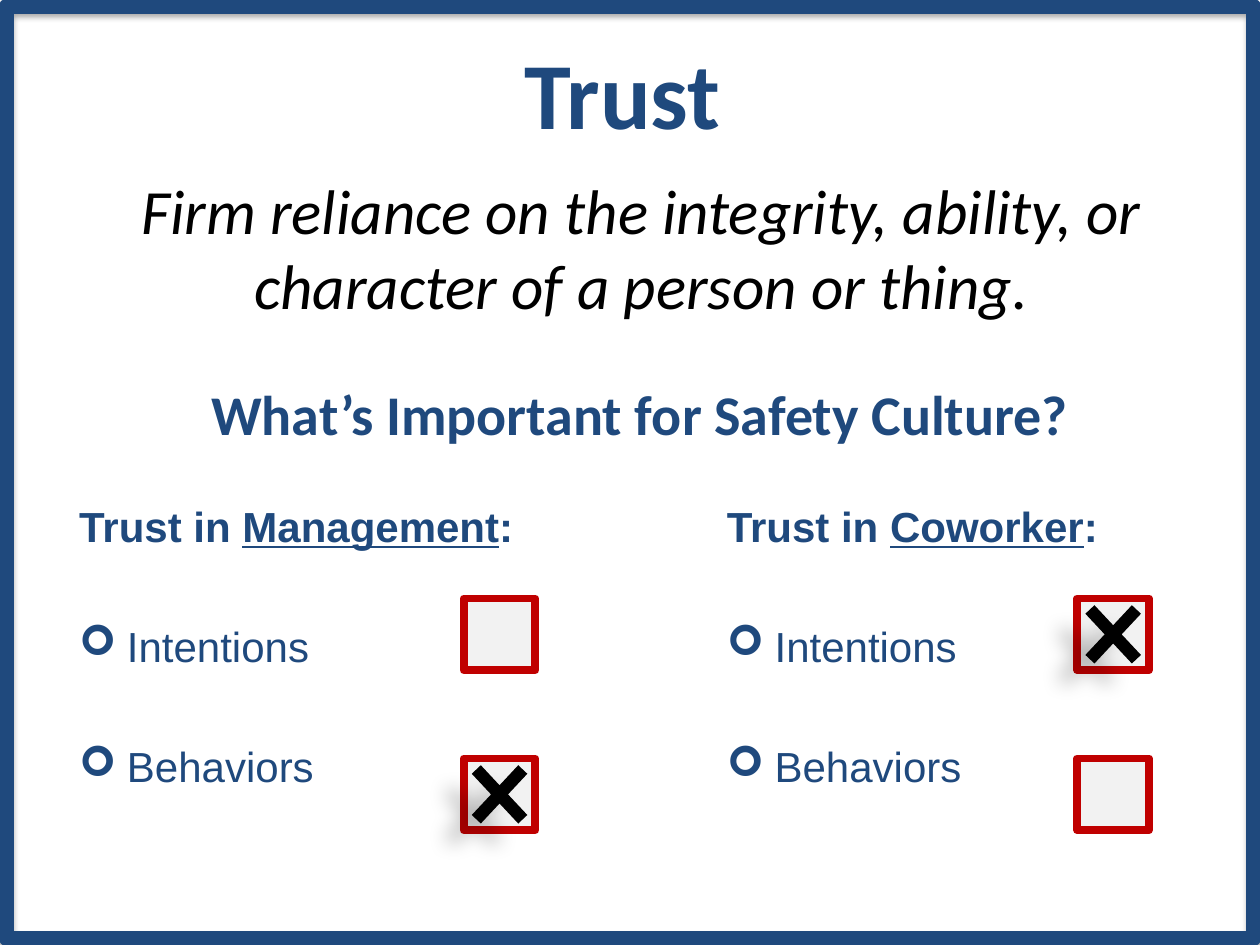
from lxml import etree
from pptx import Presentation
from pptx import util as u
from pptx.dml.color import RGBColor
from pptx.enum import shapes, text
from pptx.oxml.ns import qn

NAVY, RED, GREY, BLACK = "1F497D", "C00000", "F2F2F2", "000000"
CENTER = text.PP_ALIGN.CENTER
MIDDLE = text.MSO_ANCHOR.MIDDLE

# Checkbox grid: one column per kind of trust, one row per item
HEADINGS = [("Management", 0.53, 5.44), ("Coworker", 5.67, 4.33)]
ITEMS = ["Intentions", "Behaviors"]
BOX_X, BOX_Y, BOX = [3.68, 8.55], [4.75, 6.02], 0.57
CHECKED = [(0, 1), (1, 0)]
MARK_W, MARK_H = 0.71, 0.76


def color(value):
    return RGBColor.from_string(value)


def place(sp, x, y, w, h):
    sp.left, sp.top, sp.width, sp.height = map(u.Inches, (x, y, w, h))


def add_run(p, words, size=24, font="Arial", fill=NAVY, bold=False,
            italic=False, underline=False):
    r = p.add_run()
    r.text = words
    f = r.font
    f.size, f.name, f.bold, f.italic = u.Pt(size), font, bold, italic
    f.underline = underline
    f.color.rgb = color(fill)


def add_text_box(s, box, anchor=text.MSO_ANCHOR.TOP):
    sp = s.shapes.add_textbox(*map(u.Inches, box))
    tf = sp.text_frame
    tf.word_wrap = True
    tf.vertical_anchor = anchor
    return tf


def centered_line(tf, words, **fmt):
    p = tf.paragraphs[0]
    p.alignment = CENTER
    add_run(p, words, font="Calibri", **fmt)


def add_bullet(p, char="➢", indent=0.38):
    ppr = p._p.get_or_add_pPr()
    ppr.set("marL", str(u.Inches(indent)))
    ppr.set("indent", str(-u.Inches(indent)))
    etree.SubElement(ppr, qn("a:buFont")).set("typeface", "Wingdings")
    etree.SubElement(ppr, qn("a:buChar")).set("char", char)


def add_shadow(sp, alpha, blur, dist, angle):
    sp.shadow.inherit = False
    effects = sp._element.spPr.find(qn("a:effectLst"))
    shadow = etree.SubElement(
        effects, qn("a:outerShdw"), blurRad=str(u.Pt(blur)),
        dist=str(u.Pt(dist)), dir=str(angle * 60000), rotWithShape="0")
    clr = etree.SubElement(shadow, qn("a:srgbClr"), val=BLACK)
    etree.SubElement(clr, qn("a:alpha"), val=str(alpha * 1000))


def add_shape(s, kind, box, fill=None, line=None, width=0):
    sp = s.shapes.add_shape(kind, *map(u.Inches, box))
    sp.shadow.inherit = False
    if fill:
        sp.fill.solid()
        sp.fill.fore_color.rgb = color(fill)
    else:
        sp.fill.background()
    if line:
        sp.line.color.rgb = color(line)
        sp.line.width = u.Pt(width)
    else:
        sp.line.fill.background()
    return sp


def add_column(s, name, x, w):
    tf = add_text_box(s, (x, 3.92, w, 2.94))
    p = tf.paragraphs[0]
    add_run(p, "Trust in ", bold=True)
    add_run(p, name, bold=True, underline=True)
    add_run(p, ":", bold=True)
    for item in ITEMS:
        p = tf.add_paragraph()
        p.space_before = u.Pt(40)
        add_bullet(p)
        add_run(p, item)


def add_mark(s, col, row):
    x = BOX_X[col] + (BOX - MARK_W) / 2
    y = BOX_Y[row] + (BOX - MARK_H) / 2
    sp = add_shape(s, shapes.MSO_SHAPE.MATH_MULTIPLY,
                   (x, y, MARK_W, MARK_H), BLACK)
    sp.adjustments[0] = 0.139
    add_shadow(sp, 28, 11.8, 19.7, 141)


def main():
    prs = Presentation()
    prs.slide_width, prs.slide_height = u.Inches(10), u.Inches(7.5)
    s = prs.slides.add_slide(prs.slide_layouts[5])
    rect = shapes.MSO_SHAPE.RECTANGLE

    # Frame around the slide
    frame = add_shape(s, rect, (0.05, 0.05, 9.9, 7.4), line=NAVY, width=8.75)
    add_shadow(frame, 35, 3.1, 1.8, 90)

    # Question as the slide title
    title = s.shapes.title
    place(title, 0.16, 2.95, 9.84, 0.65)
    title.text_frame.vertical_anchor = MIDDLE
    centered_line(title.text_frame, "What’s Important for Safety Culture?",
                  size=32, bold=True)

    # Term and its definition
    centered_line(add_text_box(s, (0, 0.3, 9.88, 0.86), MIDDLE), "Trust",
                  size=54, bold=True)
    centered_line(add_text_box(s, (0.68, 1.31, 8.82, 1.3)),
                  "Firm reliance on the integrity, ability, or character "
                  "of a person or thing.", size=36, fill=BLACK, italic=True)

    # Two columns with their checkboxes
    for heading in HEADINGS:
        add_column(s, *heading)
    for x in BOX_X:
        for y in BOX_Y:
            add_shape(s, rect, (x, y, BOX, BOX), GREY, RED, 4.5)
    for cell in CHECKED:
        add_mark(s, *cell)

    prs.save("out.pptx")


if __name__ == "__main__":
    main()
